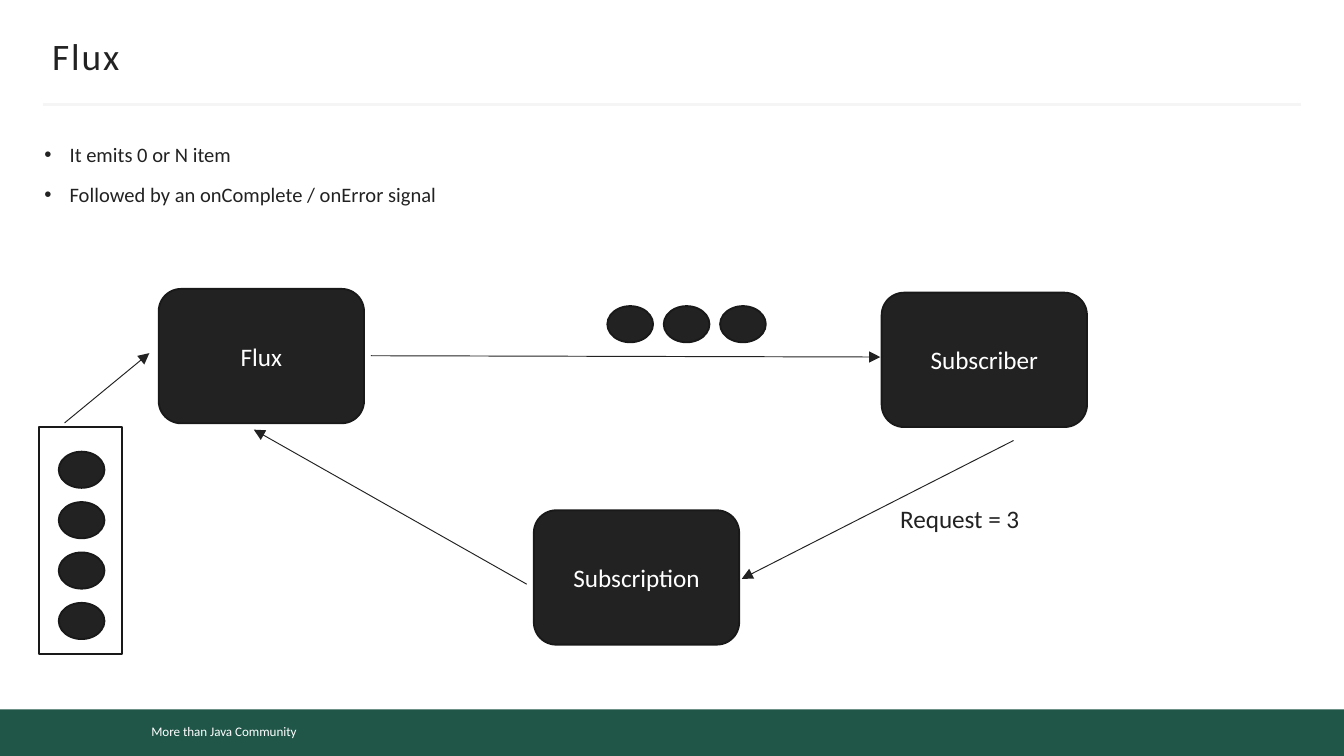
from dataclasses import dataclass

from lxml import etree
from pptx import Presentation
from pptx.dml.color import RGBColor
from pptx.enum.shapes import MSO_CONNECTOR, MSO_SHAPE
from pptx.enum.text import MSO_ANCHOR, PP_ALIGN
from pptx.oxml.ns import qn
from pptx.util import Pt

RECT = MSO_SHAPE.RECTANGLE
ROUNDED = MSO_SHAPE.ROUNDED_RECTANGLE
ELLIPSE = MSO_SHAPE.OVAL
STRAIGHT = MSO_CONNECTOR.STRAIGHT
MIDDLE, TOP = MSO_ANCHOR.MIDDLE, MSO_ANCHOR.TOP
LEFT, CENTER = PP_ALIGN.LEFT, PP_ALIGN.CENTER


@dataclass(frozen=True)
class Theme:
    font: str = "Calibri"
    ink: str = "222222"
    outline: str = "191919"
    paper: str = "FFFFFF"
    rule: str = "F5F5F5"
    brand: str = "205648"
    title: float = 20
    label: float = 13.5
    body: float = 11
    footer: float = 7


THEME = Theme()
NODE_SIZE = (110, 72)
ITEM_SIZE = (24.5, 19.4)


def color(value):
    return RGBColor.from_string(value)


def add_block(slide, kind, box, fill, outline=None):
    block = slide.shapes.add_shape(kind, *map(Pt, box))
    block.shadow.inherit = False
    block.fill.solid()
    block.fill.fore_color.rgb = color(fill)
    if outline:
        block.line.color.rgb = color(outline)
        block.line.width = Pt(1)
    else:
        block.line.fill.background()
    return block


def write(shape, text, size, ink, align=LEFT, anchor=TOP, insets=(7.2, 3.6), wrap=True):
    """Fill the shape with text; insets are horizontal and vertical."""
    frame = shape.text_frame
    frame.word_wrap = wrap
    frame.vertical_anchor = anchor
    frame.margin_left = frame.margin_right = Pt(insets[0])
    frame.margin_top = frame.margin_bottom = Pt(insets[1])
    frame.text = text
    for paragraph in frame.paragraphs:
        paragraph.alignment = align
        for run in paragraph.runs:
            run.font.name = THEME.font
            run.font.size = Pt(size)
            run.font.color.rgb = color(ink)
    return frame


def add_line(slide, start, end, ink, width, arrow=False):
    line = slide.shapes.add_connector(STRAIGHT, *map(Pt, (*start, *end)))
    line.line.color.rgb = color(ink)
    line.line.width = Pt(width)
    if arrow:
        etree.SubElement(line.line._get_or_add_ln(), qn("a:tailEnd"), type="triangle")
    etree.SubElement(line._element.spPr, qn("a:effectLst"))


def add_footer(slide, box):
    left, top, width, height = box
    add_block(slide, RECT, box, THEME.brand)
    community = add_block(slide, RECT, (left + 74, top + 3.8, 191, 16), THEME.brand)
    write(community, "More than Java Community", THEME.footer, THEME.paper)


def add_header(slide, box, heading):
    left, top, width, height = box
    title = slide.shapes.add_textbox(*map(Pt, (left + 5, top, width - 10, 24)))
    frame = write(title, heading, THEME.title, THEME.ink,
                  anchor=MIDDLE, insets=(0, 3.6), wrap=False)
    frame.paragraphs[0].runs[0].font._element.set("spc", "100")
    bottom = top + height
    add_line(slide, (left, bottom), (left + width, bottom), THEME.rule, 1.5)


def add_bullets(slide, box, points):
    body = slide.shapes.add_textbox(*map(Pt, box))
    frame = write(body, "\n".join(points), THEME.body, THEME.ink, insets=(0, 0))
    for paragraph in frame.paragraphs:
        paragraph.line_spacing = Pt(16)
        paragraph.space_before = Pt(2.6)
        paragraph.space_after = Pt(3)
        properties = paragraph._p.get_or_add_pPr()
        indent = Pt(13.5)
        properties.set("marL", str(indent))
        properties.set("indent", str(-indent))
        etree.SubElement(properties, qn("a:buFont"), typeface="Arial")
        etree.SubElement(properties, qn("a:buChar"), char="•")


def add_items(slide, start, step, count):
    """Place a run of equal items, each moved by step from the one before."""
    for index in range(count):
        place = [origin + index * move for origin, move in zip(start, step)]
        add_block(slide, ELLIPSE, (*place, *ITEM_SIZE), THEME.ink, THEME.outline)


def add_flow(slide, box):
    left, top, width, height = box

    def at(x, y):
        return left + x, top + y

    nodes = {"Flux": (64, 0), "Subscriber": (451.3, 2), "Subscription": (265, 118.6)}
    for name, offset in nodes.items():
        node = add_block(slide, ROUNDED, (*at(*offset), *NODE_SIZE),
                         THEME.ink, THEME.outline)
        write(node, name, THEME.label, THEME.paper, CENTER, MIDDLE)

    add_block(slide, RECT, (*at(0, 74), 44.6, height - 74), THEME.paper, THEME.outline)
    add_items(slide, at(10.5, 87.2), (0, 27), 4)
    add_items(slide, at(304.4, 9.2), (30.2, 0), 3)

    arrows = [
        ((13.6, 71.8), (59, 34.4)),       # source items to Flux
        ((177.7, 35.8), (450.6, 36.5)),   # Flux to Subscriber
        ((522, 81.2), (376.4, 155.3)),    # Subscriber to Subscription
        ((261.2, 158.2), (115, 75.4)),    # Subscription to Flux
    ]
    for start, end in arrows:
        add_line(slide, at(*start), at(*end), THEME.ink, 0.5, arrow=True)

    request = slide.shapes.add_textbox(*map(Pt, (*at(454.2, 111.4), 216, 24)))
    write(request, "Request = 3", THEME.label, THEME.ink)


def main():
    deck = Presentation()
    deck.slide_width, deck.slide_height = Pt(720), Pt(405)
    slide = deck.slides.add_slide(deck.slide_layouts[6])
    add_footer(slide, (0, 380, 720, 25))
    add_header(slide, (23, 18, 674, 38.2), "Flux")
    add_bullets(slide, (23.8, 73.4, 664, 268), [
        "It emits 0 or N item",
        "Followed by an onComplete / onError signal",
    ])
    add_flow(slide, (21, 154.8, 670, 195.8))
    deck.save("out.pptx")


if __name__ == "__main__":
    main()
